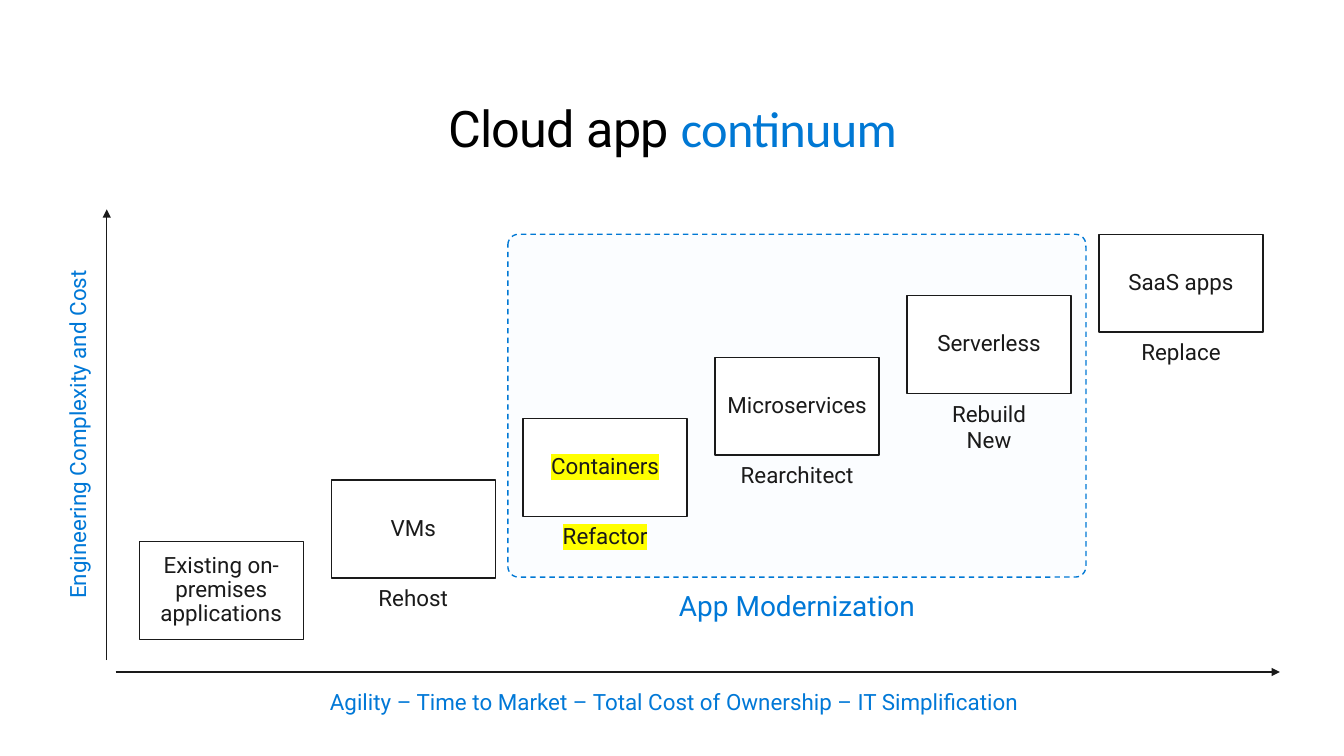
from dataclasses import dataclass

from lxml.etree import SubElement
from pptx import Presentation
from pptx.dml.color import RGBColor as RGB
from pptx.enum.dml import MSO_LINE as Dash
from pptx.enum.shapes import MSO_CONNECTOR as Link, MSO_SHAPE as Kind
from pptx.enum.text import MSO_ANCHOR as Anchor, MSO_AUTO_SIZE as Fit, PP_ALIGN as Align
from pptx.oxml.ns import qn
from pptx.util import Pt


@dataclass(frozen=True)
class Theme:
    font: str = "Roboto"
    accent: str = "Calibri"
    black: str = "000000"
    ink: str = "1A1A1A"
    blue: str = "0078D4"
    label: str = "0078D7"
    white: str = "FFFFFF"
    tint: str = "FBFDFF"
    mark: str = "FFFF00"
    title: float = 36.7
    large: float = 20.4
    body: float = 16.3


THEME = Theme()

# Box text, caption, side inset, highlighted
STEPS = [
    ("Existing on-premises applications", "", 14.4, False),
    ("VMs", "Rehost", 14.4, False),
    ("Containers", "Refactor", 14.4, True),
    ("Microservices", "Rearchitect", 7.2, False),
    ("Serverless", "Rebuild\nNew", 14.4, False),
    ("SaaS apps", "Replace", 14.4, False),
]


def style(run, size, color, font=THEME.font, mark=False):
    run.font.size = Pt(size)
    run.font.name = font
    run.font.color.rgb = RGB.from_string(color)
    if mark:
        props = run.font._element
        glow = SubElement(props, qn("a:highlight"))
        SubElement(glow, qn("a:srgbClr"), val=THEME.mark)
        props.find(qn("a:solidFill")).addnext(glow)


def setup(frame, side=0, edge=0, anchor=Anchor.TOP):
    frame.word_wrap = True
    frame.auto_size = Fit.NONE
    frame.vertical_anchor = anchor
    frame.margin_left = frame.margin_right = Pt(side)
    frame.margin_top = frame.margin_bottom = Pt(edge)


def write(frame, text, size, color, mark=False):
    para = frame.paragraphs[0]
    para.text = text
    para.alignment = Align.CENTER
    for run in para.runs:
        style(run, size, color, mark=mark)
    return para


def add_label(slide, box, text, size, color, mark=False):
    label = slide.shapes.add_textbox(*map(Pt, box))
    setup(label.text_frame)
    write(label.text_frame, text, size, color, mark)
    return label


def add_panel(slide, kind, box, fill, line):
    panel = slide.shapes.add_shape(kind, *map(Pt, box))
    panel.shadow.inherit = False
    panel.fill.solid()
    panel.fill.fore_color.rgb = RGB.from_string(fill)
    panel.line.color.rgb = RGB.from_string(line)
    panel.line.width = Pt(1)
    return panel


def add_arrow(slide, start, end):
    arrow = slide.shapes.add_connector(Link.STRAIGHT, *map(Pt, start + end))
    arrow.line.color.rgb = RGB.from_string(THEME.ink)
    arrow.line.width = Pt(1)
    SubElement(arrow.line._get_or_add_ln(), qn("a:tailEnd"), type="triangle")
    SubElement(arrow._element.spPr, qn("a:effectLst"))


def add_title(slide, box):
    title = slide.shapes.title
    title.left, title.top, title.width, title.height = map(Pt, box)
    setup(title.text_frame)
    para = title.text_frame.paragraphs[0]
    para.alignment = Align.CENTER
    parts = [("Cloud app ", THEME.black, THEME.font),
             ("continuum", THEME.blue, THEME.accent)]
    for text, color, font in parts:
        run = para.add_run()
        run.text = text
        style(run, THEME.title, color, font)
        run.font._element.set("spc", "-50")


def add_zone(slide, box):
    left, top, width, height = box
    zone = add_panel(slide, Kind.ROUNDED_RECTANGLE, box, THEME.tint, THEME.blue)
    zone.adjustments[0] = 0.031
    zone.line.dash_style = Dash.DASH
    add_label(slide, (left + (width - 206) / 2, top + height + 8, 206, 25),
              "App Modernization", THEME.large, THEME.label)


def add_axes(slide, box):
    left, top, width, height = box
    base = top + height
    add_arrow(slide, (left, base - 8.6), (left, top))
    add_arrow(slide, (left + 6.5, base), (left + width, base))
    add_label(slide, (left + 154, base + 11.5, 519, 20),
              "Agility – Time to Market – Total Cost of Ownership – IT Simplification",
              THEME.body, THEME.label)
    side = add_label(slide, (left - 157, top + 154, 271.4, 20),
                     "Engineering Complexity and Cost", THEME.body, THEME.label)
    side.rotation = 270


def add_steps(slide, box):
    left, top, width, height = box
    wide, high = 119.5, 71.3
    last = len(STEPS) - 1
    run, rise = (width - wide) / last, (height - high) / last
    for i, (text, caption, side, mark) in enumerate(STEPS):
        x, y = left + i * run, top + (last - i) * rise
        step = add_panel(slide, Kind.RECTANGLE, (x, y, wide, high),
                         THEME.white, THEME.ink)
        setup(step.text_frame, side, 11.5, Anchor.MIDDLE)
        para = write(step.text_frame, text, THEME.body, THEME.ink, mark)
        para.line_spacing = 0.9
        if caption:
            rows = caption.count("\n") + 1
            add_label(slide, (x + 7, y + high + 4.4, wide - 14, 20 * rows),
                      caption, THEME.body, THEME.ink, mark)


def main():
    deck = Presentation()
    deck.slide_width, deck.slide_height = Pt(979.2), Pt(550.8)
    slide = deck.slides.add_slide(deck.slide_layouts[5])
    # Heading
    add_title(slide, (47.5, 70.6, 885, 45.4))
    # Modernization zone behind the steps
    add_zone(slide, (370, 170.7, 421.2, 249.8))
    # Axes with their captions
    add_axes(slide, (77.8, 152.6, 854.6, 337))
    # Staircase of app types
    add_steps(slide, (101.5, 170.7, 818.7, 295.2))
    deck.save("out.pptx")


if __name__ == "__main__":
    main()
